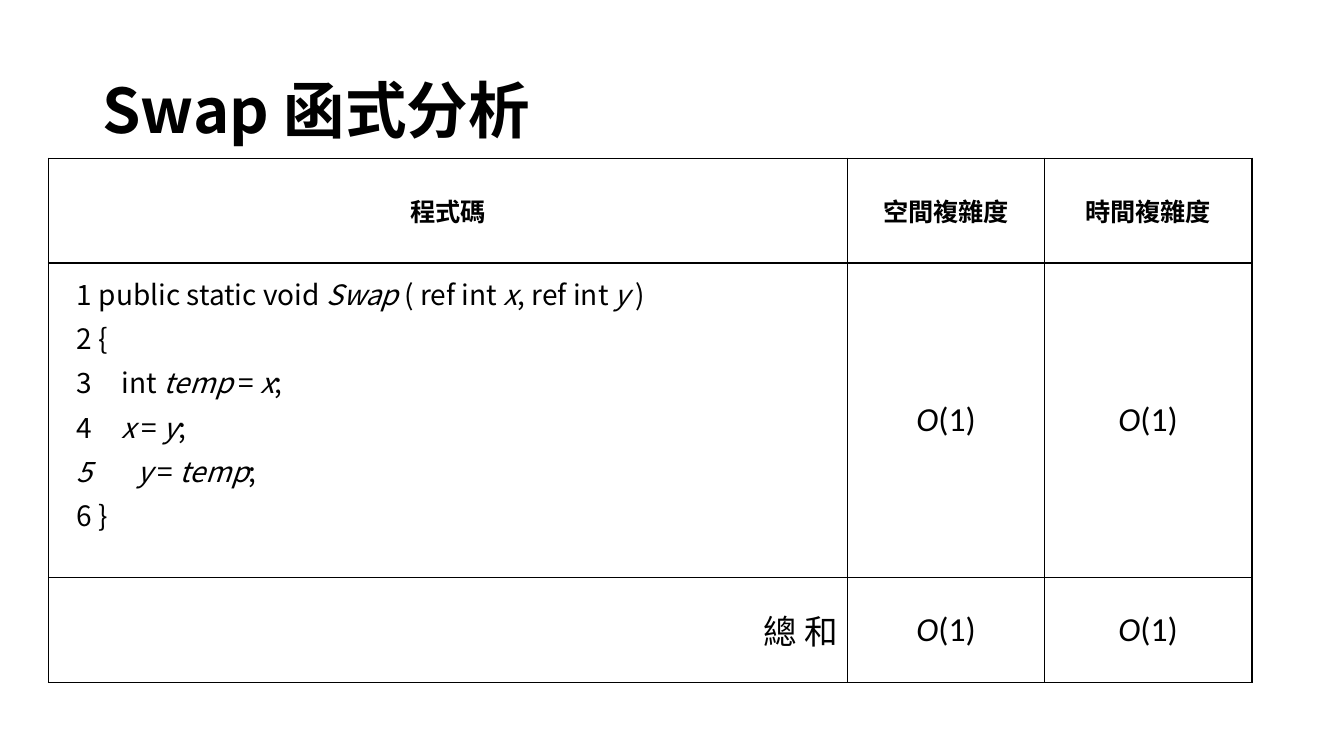
from pptx import Presentation
from pptx.dml.color import RGBColor as RGB
from pptx.enum.text import MSO_ANCHOR as ANCHOR, MSO_AUTO_SIZE as FIT, PP_ALIGN as ALIGN
from pptx.oxml.ns import qn
from pptx.util import Pt
from lxml.etree import SubElement

# Content: runs wrapped in asterisks are italic
TITLE = "Swap 函式分析"
HEADS = ["程式碼", "空間複雜度", "時間複雜度"]
COSTS = ["*O*(1)", "*O*(1)"]
ROWS = [HEADS, ["", *COSTS], ["總 和", *COSTS]]
CODE = [  # text, tab stop
    ("1 public static void *Swap *( ref int *x*, ref int *y *)", None),
    ("2 {", None),
    ("3\tint *temp* = *x*;", 32),
    ("4\t*x* = *y*;", 32),
    ("*5\ty* = *temp*;", 43),
    ("6 }", None),
]

# Formats
COLORS = {"text": "000000", "line": "000000"}
CJK = "Noto Sans CJK TC"
TITLE_FONT = {"name": CJK, "size": Pt(44), "bold": True}
CODE_FONT = {"name": CJK, "size": Pt(20), "bold": False}
HEAD_FONT = {"name": "Calibri", "size": Pt(18), "bold": True}
CELL_FONT = {"name": "Calibri", "size": Pt(24), "bold": False}

# Layout in points
TABLE_AT = (34.6, 113)
COLS = [571, 140.4, 148.3]
ROW_HEIGHTS = [74.9, 224.6, 74.9]
TITLE_BOX = (66.2, 28.8, 828, 104.4)
CODE_BOX = (43.2, 197.3, 529.2, 205.9)


def write(p, text, font):
    for i, part in enumerate(text.split("*")):
        if not part:
            continue
        r = p.add_run()
        r.text = part
        for key, value in {**font, "italic": i % 2 == 1}.items():
            setattr(r.font, key, value)
        r.font.color.rgb = RGB.from_string(COLORS["text"])
        if font["name"] == CJK:
            SubElement(r.font._element, qn("a:ea"), typeface=CJK)


def add_text(s, box, anchor):
    tf = s.shapes.add_textbox(*map(Pt, box)).text_frame
    tf.word_wrap = True
    tf.vertical_anchor = anchor
    return tf


def set_borders(cell):
    tcPr = cell._tc.get_or_add_tcPr()
    for i, side in enumerate(("lnL", "lnR", "lnT", "lnB")):
        ln = tcPr.makeelement(qn(f"a:{side}"), {"w": str(Pt(1))})
        fill = SubElement(ln, qn("a:solidFill"))
        SubElement(fill, qn("a:srgbClr"), val=COLORS["line"])
        tcPr.insert(i, ln)


prs = Presentation()
prs.slide_width, prs.slide_height = Pt(960), Pt(540)
s = prs.slides.add_slide(prs.slide_layouts[6])

# Complexity table
frame = s.shapes.add_table(len(ROWS), len(COLS), *map(
    Pt, (*TABLE_AT, sum(COLS), sum(ROW_HEIGHTS))))
table = frame.table
table.first_row = table.horz_banding = False
for column, width in zip(table.columns, COLS):
    column.width = Pt(width)
for i, (row, height, texts) in enumerate(zip(table.rows, ROW_HEIGHTS, ROWS)):
    row.height = Pt(height)
    for j, (cell, text) in enumerate(zip(row.cells, texts)):
        cell.fill.background()
        set_borders(cell)
        cell.vertical_anchor = ANCHOR.MIDDLE
        p = cell.text_frame.paragraphs[0]
        p.alignment = ALIGN.RIGHT if i and not j else ALIGN.CENTER
        write(p, text, CELL_FONT if i else HEAD_FONT)

# Title
p = add_text(s, TITLE_BOX, ANCHOR.MIDDLE).paragraphs[0]
p.line_spacing = 0.9
write(p, TITLE, TITLE_FONT)

# Code listing over the first column
tf = add_text(s, CODE_BOX, ANCHOR.TOP)
tf.margin_left = Pt(11.7)
tf.auto_size = FIT.TEXT_TO_FIT_SHAPE
for i, (text, stop) in enumerate(CODE):
    p = tf.add_paragraph() if i else tf.paragraphs[0]
    p.line_spacing, p.space_before = 0.9, Pt(10)
    if stop:
        tabs = SubElement(p._p.get_or_add_pPr(), qn("a:tabLst"))
        SubElement(tabs, qn("a:tab"), pos=str(Pt(stop)), algn="l")
    write(p, text, CODE_FONT)

prs.save("out.pptx")
